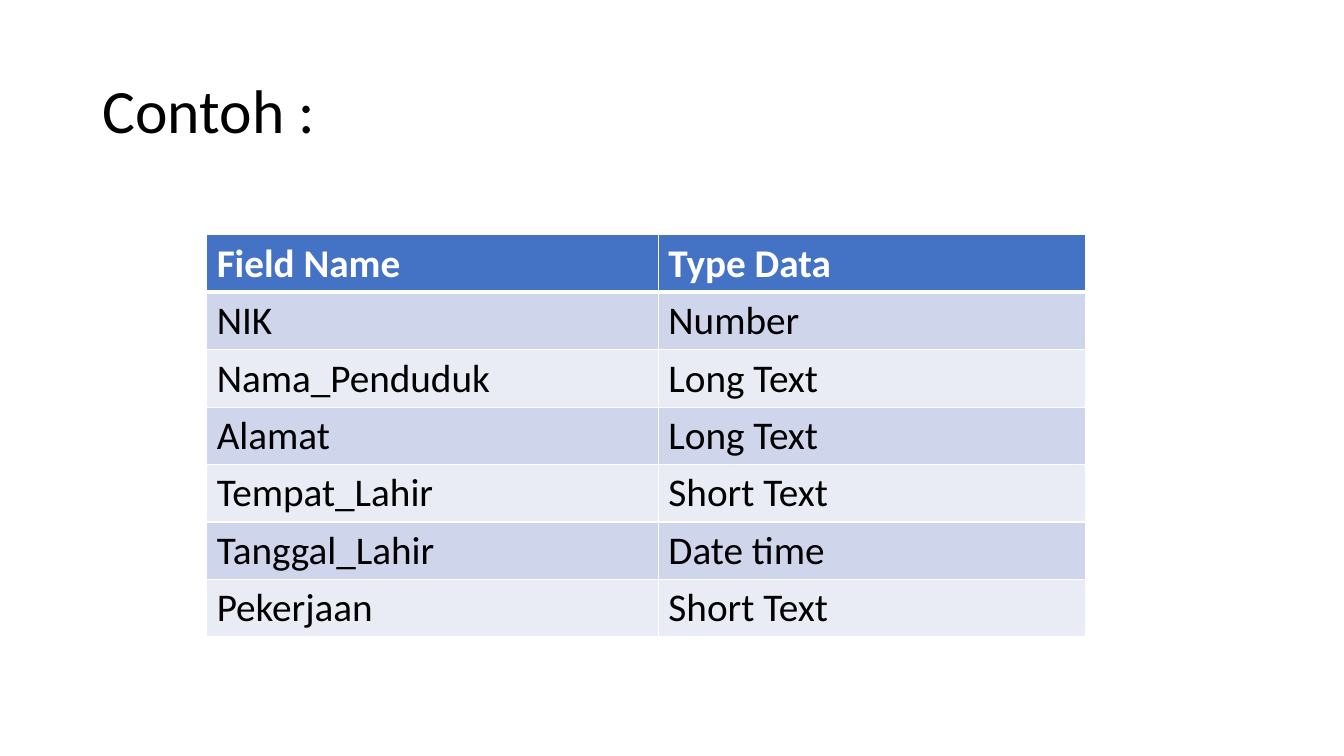
from lxml.etree import SubElement
from pptx import Presentation
from pptx.dml.color import RGBColor
from pptx.enum.text import MSO_ANCHOR
from pptx.oxml.ns import qn
from pptx.util import Inches, Pt

COLORS = {
    "text": "000000",
    "white": "FFFFFF",
    "header": "4472C4",
    "band_dark": "CFD5EA",
    "band_light": "E9EBF5",
}

FIELDS = [
    ("Field Name", "Type Data"),
    ("NIK", "Number"),
    ("Nama_Penduduk", "Long Text"),
    ("Alamat", "Long Text"),
    ("Tempat_Lahir", "Short Text"),
    ("Tanggal_Lahir", "Date time"),
    ("Pekerjaan", "Short Text"),
]


class SlideBuilder:
    def __init__(self, s, font="Calibri"):
        self.s = s
        self.font = font

    def add_text(self, p, text, size, color="text", bold=False):
        r = p.add_run()
        r.text = text
        style = {"name": self.font, "size": Pt(size), "bold": bold}
        for name, value in style.items():
            setattr(r.font, name, value)
        r.font.color.rgb = RGBColor.from_string(COLORS[color])

    def title(self, text, left, top, width, height):
        sp = self.s.shapes.add_textbox(
            Inches(left), Inches(top), Inches(width), Inches(height))
        tf = sp.text_frame
        for name, value in {"word_wrap": True,
                            "vertical_anchor": MSO_ANCHOR.MIDDLE}.items():
            setattr(tf, name, value)
        p = tf.paragraphs[0]
        p.line_spacing = 0.9
        self.add_text(p, text, 44)

    def border(self, cell, widths):
        tc_pr = cell._tc.get_or_add_tcPr()
        for side, width in widths.items():
            ln = SubElement(tc_pr, qn(f"a:ln{side}"), w=str(Pt(width)))
            fill = SubElement(ln, qn("a:solidFill"))
            SubElement(fill, qn("a:srgbClr"), val=COLORS["white"])

    def table(self, rows, left, top, col_widths, row_height):
        frame = self.s.shapes.add_table(
            len(rows), len(col_widths), Inches(left), Inches(top),
            Inches(sum(col_widths)), Inches(row_height * len(rows)))
        table = frame.table
        for column, width in zip(table.columns, col_widths):
            column.width = Inches(width)
        for i, row in enumerate(rows):
            header = i == 0
            band = "band_dark" if i % 2 else "band_light"
            # A thicker rule separates the header from the body
            widths = {"L": 1, "R": 1, "T": 3 if i == 1 else 1,
                      "B": 3 if header else 1}
            for j, text in enumerate(row):
                cell = table.cell(i, j)
                self.border(cell, widths)
                cell.fill.solid()
                cell.fill.fore_color.rgb = RGBColor.from_string(
                    COLORS["header" if header else band])
                self.add_text(cell.text_frame.paragraphs[0], text, 28,
                              "white" if header else "text", header)


def main():
    prs = Presentation()
    prs.slide_width, prs.slide_height = Inches(13.33), Inches(7.5)
    builder = SlideBuilder(prs.slides.add_slide(prs.slide_layouts[6]))

    # Title
    builder.title("Contoh :", 0.92, 0.4, 11.5, 1.45)

    # Field and data type table
    builder.table(FIELDS, 2.05, 2.33, (4.48, 4.24), 0.57)

    prs.save("out.pptx")


if __name__ == "__main__":
    main()
